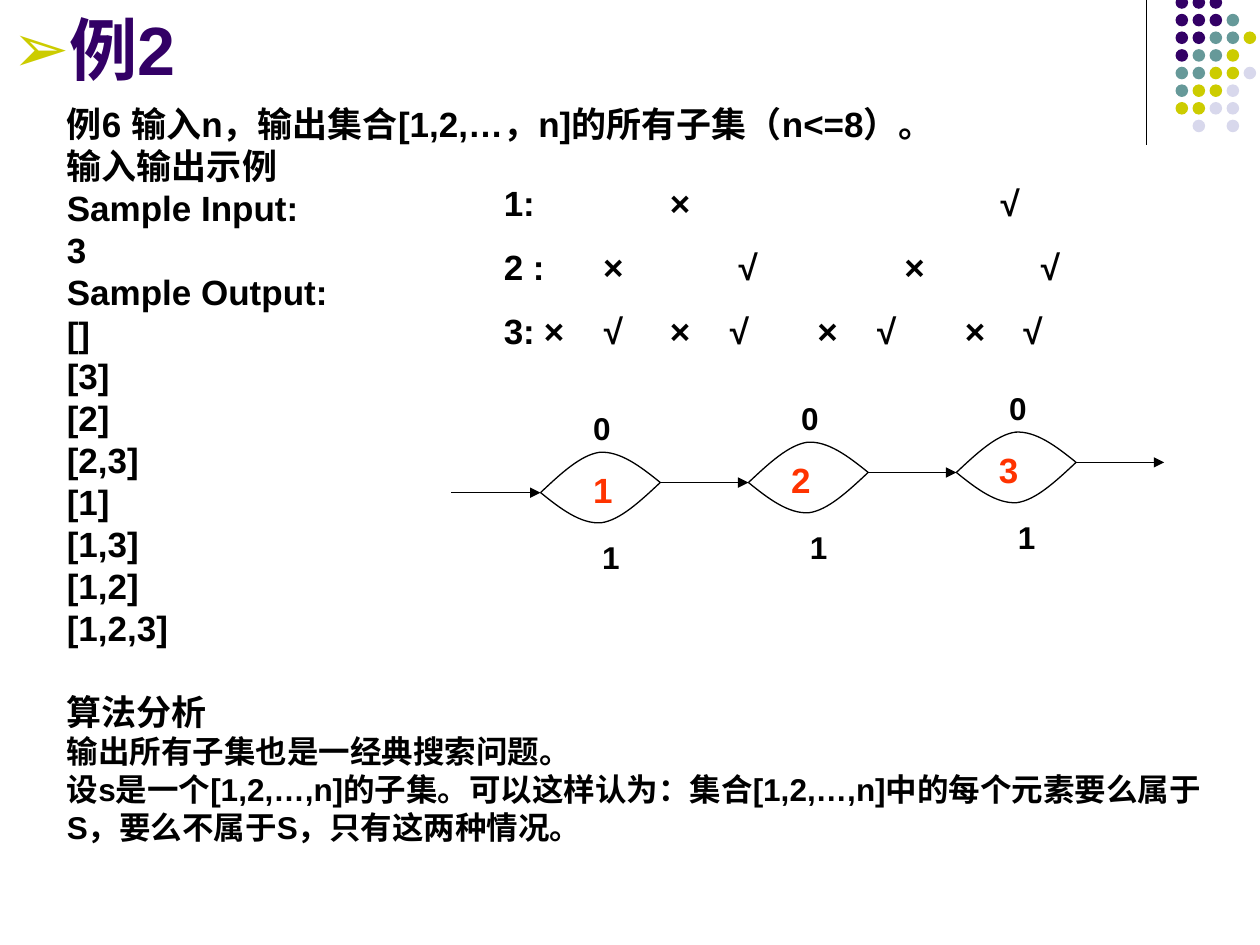
from lxml import etree
from pptx import Presentation
from pptx import util as u
from pptx.dml.color import RGBColor
from pptx.enum import shapes, text
from pptx.oxml.ns import qn

COLORS = {"black": "000000", "purple": "330066", "teal": "669999",
          "olive": "CCCC00", "lilac": "D8D8EC", "red": "FF3300"}
FONT = "Arial"

HEADING = "例2"
PROBLEM = ["例6 输入n，输出集合[1,2,…，n]的所有子集（n<=8）。", "输入输出示例",
           "Sample Input:", "3", "Sample Output:", "[]", "[3]", "[2]", "[2,3]",
           "[1]", "[1,3]", "[1,2]", "[1,2,3]"]
ANALYSIS_HEADING = "算法分析"
ANALYSIS = ["输出所有子集也是一经典搜索问题。",
            "设s是一个[1,2,…,n]的子集。可以这样认为：集合[1,2,…,n]中的每个元素要么属于S，要么不属于S，只有这两种情况。"]
CHOICES = [("1:", [1.4, 4.02]),
           ("2 :", [0.87, 1.94, 3.26, 4.34]),
           ("3:", [0.4, 0.87, 1.4, 1.87, 2.57, 3.04, 3.74, 4.2])]
MARKS = "×√"

DOTS = ["PPP", "PPPT", "PPTTO", "PTTO", "TTOOL", "TOOL", "OOLL", " L L"]
DOT_COLORS = {"P": "purple", "T": "teal", "O": "olive", "L": "lilac"}
DOT_LEFT, DOT_TOP, DOT_SIZE = 9.33, -0.03, 0.1
DOT_COLUMN, DOT_ROW = 0.54 / 4, 0.14

NODES = [("1", 0.32), ("2", 0.24), ("3", 0.24)]
NODE_LEFT, NODE_Y = 4.29, 3.91
NODE_STEP, NODE_RISE, ARROW_LENGTH = 1.65, 0.08, 0.71
UPPER_ARC = [(0, 0), (16, -15), (32, -30), (47, -32), (63, -33), (79, -21), (95, -8)]
LOWER_ARC = [(95 - x, -8 - y) for x, y in UPPER_ARC]


def rgb(name):
    return RGBColor.from_string(COLORS[name])


def style(paragraph, size, color="black"):
    paragraph.font.name = FONT
    paragraph.font.size = u.Pt(size)
    paragraph.font.bold = True
    paragraph.font.color.rgb = rgb(color)


def place(shape, left, top, width, height):
    shape.left, shape.top = u.Inches(left), u.Inches(top)
    shape.width, shape.height = u.Inches(width), u.Inches(height)


def add_line(slide, x1, y1, x2, y2, arrow=False):
    line = slide.shapes.add_connector(
        shapes.MSO_CONNECTOR.STRAIGHT, *map(u.Inches, (x1, y1, x2, y2)))
    line.line.color.rgb = rgb("black")
    line.line.width = u.Pt(0.75)
    if arrow:
        etree.SubElement(line.line._get_or_add_ln(), qn("a:tailEnd"), type="triangle")
    etree.SubElement(line._element.spPr, qn("a:effectLst"))


def add_label(slide, label, left, top, width, height, size, color="black"):
    frame = slide.shapes.add_textbox(*map(u.Inches, (left, top, width, height))).text_frame
    frame.word_wrap = True
    frame.text = label
    style(frame.paragraphs[0], size, color)


def add_arc(slide, left, y, points):
    origin_x, origin_y = round(left * 100), round(y * 100)
    start, *rest = [(origin_x + dx, origin_y + dy) for dx, dy in points]
    builder = slide.shapes.build_freeform(*start, scale=u.Inches(0.01))
    builder.add_line_segments(rest, close=False)
    arc = builder.convert_to_shape()
    outline = next(arc._element.iter(qn("a:path")))
    segments = outline.findall(qn("a:lnTo"))
    for i in range(0, len(segments), 3):
        curve = etree.SubElement(outline, qn("a:cubicBezTo"))
        for segment in segments[i:i + 3]:
            curve.append(segment[0])
            outline.remove(segment)
    arc.fill.background()
    arc.line.color.rgb = rgb("black")
    arc.line.width = u.Pt(0.75)
    arc.shadow.inherit = False


def add_corner(slide):
    add_line(slide, 9.1, 0, 9.1, 1.15)
    for row, codes in enumerate(DOTS):
        for column, code in enumerate(codes):
            if code == " ":
                continue
            dot = slide.shapes.add_shape(
                shapes.MSO_SHAPE.OVAL, u.Inches(DOT_LEFT + column * DOT_COLUMN),
                u.Inches(DOT_TOP + row * DOT_ROW), u.Inches(DOT_SIZE), u.Inches(DOT_SIZE))
            dot.fill.solid()
            dot.fill.fore_color.rgb = rgb(DOT_COLORS[code])
            dot.line.fill.background()
            dot.shadow.inherit = False


def fill_heading(heading):
    place(heading, 0, 0, 1.77, 0.76)
    frame = heading.text_frame
    frame.text = HEADING
    frame.auto_size = text.MSO_AUTO_SIZE.NONE
    frame.vertical_anchor = text.MSO_ANCHOR.BOTTOM
    paragraph = frame.paragraphs[0]
    paragraph.alignment = text.PP_ALIGN.LEFT
    props = paragraph._p.get_or_add_pPr()
    props.set("marL", str(u.Inches(0.45)))
    props.set("indent", str(-u.Inches(0.45)))
    bullet_color = etree.SubElement(props, qn("a:buClr"))
    etree.SubElement(bullet_color, qn("a:srgbClr"), val=COLORS["olive"])
    etree.SubElement(props, qn("a:buFont"), typeface=FONT)
    etree.SubElement(props, qn("a:buChar"), char="➢")
    style(paragraph, 39, "purple")


def fill_body(body):
    place(body, 0.43, 0.76, 9.29, 6.46)
    frame = body.text_frame
    frame.text = "\n".join(PROBLEM + [ANALYSIS_HEADING] + ANALYSIS)
    frame.auto_size = text.MSO_AUTO_SIZE.NONE
    for paragraph in frame.paragraphs:
        paragraph.line_spacing = 1.0
        paragraph.space_before = u.Pt(24 if paragraph.text == ANALYSIS_HEADING else 0)
        props = paragraph._p.get_or_add_pPr()
        props.set("marL", "0")
        props.set("indent", "0")
        etree.SubElement(props, qn("a:buNone"))
        style(paragraph, 18 if paragraph.text in ANALYSIS else 20)


def add_choices(slide):
    frame = slide.shapes.add_textbox(*map(u.Inches, (3.9, 1.39, 5.43, 1.45))).text_frame
    frame.word_wrap = True
    frame.text = "\n".join(
        "\t".join([label] + [MARKS[i % 2] for i in range(len(stops))])
        for label, stops in CHOICES)
    for i, (paragraph, (_, stops)) in enumerate(zip(frame.paragraphs, CHOICES)):
        if i:
            paragraph.space_before = u.Pt(12.5)
        tabs = etree.SubElement(paragraph._p.get_or_add_pPr(), qn("a:tabLst"))
        for stop in stops:
            etree.SubElement(tabs, qn("a:tab"), pos=str(u.Inches(stop)), algn="ctr")
        style(paragraph, 20)


def add_chain(slide):
    for i in range(len(NODES) + 1):
        left, y = NODE_LEFT + i * NODE_STEP, NODE_Y - i * NODE_RISE
        add_line(slide, left - ARROW_LENGTH, y, left, y, arrow=True)
        if i == len(NODES):
            break
        number, offset = NODES[i]
        for points in (UPPER_ARC, LOWER_ARC):
            add_arc(slide, left, y, points)
        add_label(slide, "0", left + 0.32, y - 0.71, 0.32, 0.4, 18)
        add_label(slide, "1", left + 0.39, y + 0.31, 0.32, 0.4, 18)
        add_label(slide, number, left + offset, y - 0.24, 0.39, 0.44, 20, "red")


def main():
    deck = Presentation()
    deck.slide_width, deck.slide_height = u.Inches(10), u.Inches(7.5)
    slide = deck.slides.add_slide(deck.slide_layouts[1])
    add_corner(slide)
    fill_heading(slide.shapes.title)
    fill_body(slide.placeholders[1])
    add_choices(slide)
    add_chain(slide)
    deck.save("out.pptx")


if __name__ == "__main__":
    main()
